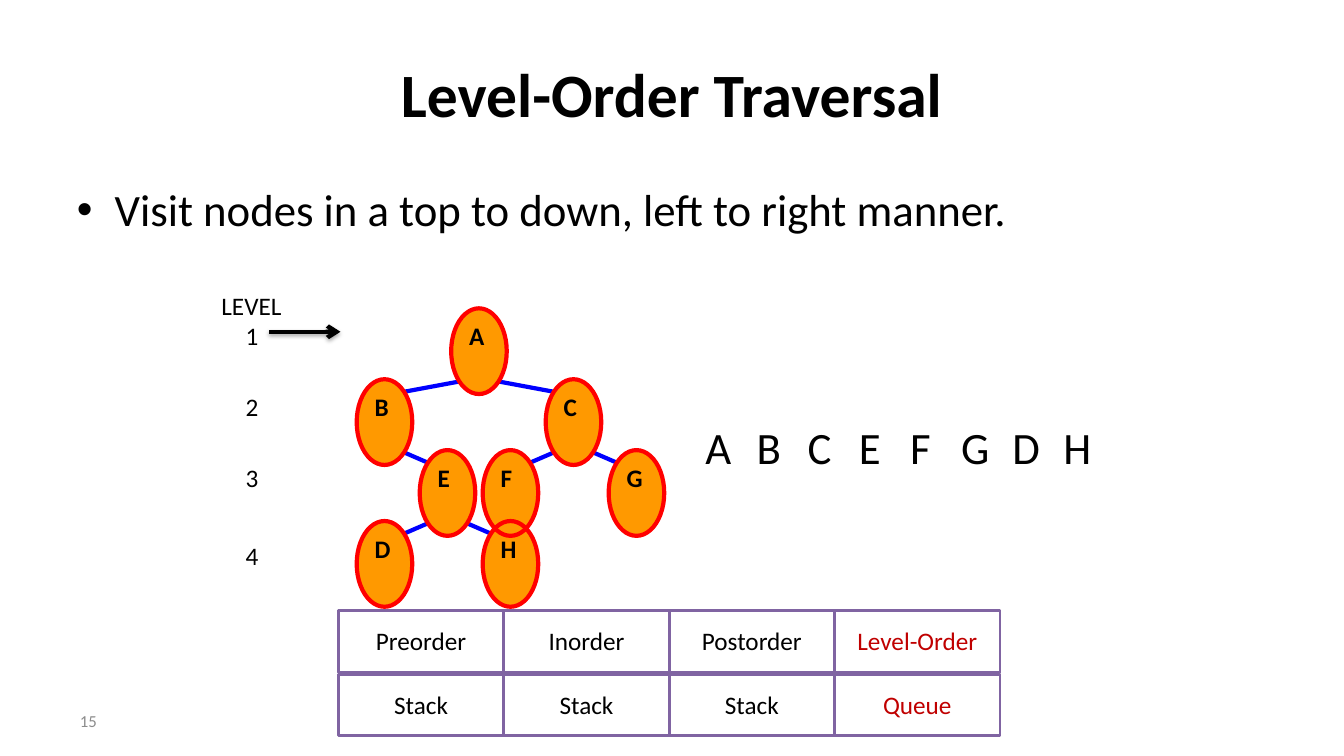
import pptx
import pptx.util
import pptx.dml.color
import pptx.enum.shapes
import pptx.enum.text
import pptx.oxml
import pptx.oxml.ns

Cm = pptx.util.Cm
Pt = pptx.util.Pt
RGBColor = pptx.dml.color.RGBColor
Kind = pptx.enum.shapes.MSO_SHAPE
Align = pptx.enum.text.PP_ALIGN
Anchor = pptx.enum.text.MSO_ANCHOR

BLACK = RGBColor(0x00, 0x00, 0x00)
WHITE = RGBColor(0xFF, 0xFF, 0xFF)
ORANGE = RGBColor(0xFF, 0x99, 0x00)
RED = RGBColor(0xFF, 0x00, 0x00)
BLUE = RGBColor(0x00, 0x00, 0xFF)
PURPLE = RGBColor(0x80, 0x64, 0xA2)
CRIMSON = RGBColor(0xC0, 0x00, 0x00)
GREY = RGBColor(0x8C, 0x8C, 0x8C)

FONT = "Calibri"
NS = pptx.oxml.ns.nsdecls("a")
SHADOW = (f'<a:effectLst {NS}><a:outerShdw blurRad="39370" dist="22860" dir="5400000">'
          '<a:srgbClr val="000000"><a:alpha val="35000"/></a:srgbClr>'
          '</a:outerShdw></a:effectLst>')
EDGE = (0.5 - 0.125 ** 0.5, 0.5 + 0.125 ** 0.5)  # diagonal points of an oval

NODES = {  # letter: (column, row)
    "A": (3, 0), "B": (0, 1), "C": (6, 1), "E": (2, 2),
    "F": (4, 2), "G": (8, 2), "D": (0, 3), "H": (4, 3),
}
LINKS = ("BA", "CA", "EB", "FC", "GC", "DE", "HE")
ORDER = "ABCEFGDH"
GRID = (("Preorder", "Inorder", "Postorder", "Level-Order"),
        ("Stack", "Stack", "Stack", "Queue"))


def write(shape, text, size, color=BLACK, bold=False, align=Align.LEFT,
          anchor=Anchor.TOP, pad=0.13, wrap=True):
    frame = shape.text_frame
    frame.text = text
    frame.word_wrap = wrap
    frame.vertical_anchor = anchor
    frame.margin_left = frame.margin_right = Cm(0.25)
    frame.margin_top = frame.margin_bottom = Cm(pad)
    para = frame.paragraphs[0]
    para.alignment = align
    font = para.runs[0].font
    font.name, font.size, font.bold = FONT, Pt(size), bold
    font.color.rgb = color
    return para


def label(shapes, box, text, size, **style):
    return write(shapes.add_textbox(*map(Cm, box)), text, size, **style)


def block(shapes, kind, box, fill=None, line=None, width=3):
    shape = shapes.add_shape(kind, *map(Cm, box))
    shape.shadow.inherit = False
    if fill is None:
        shape.fill.background()
    else:
        shape.fill.solid()
        shape.fill.fore_color.rgb = fill
    if line is None:
        shape.line.fill.background()
    else:
        shape.line.color.rgb = line
        shape.line.width = Pt(width)
    return shape


def stroke(shapes, start, end, color, effect=f"<a:effectLst {NS}/>"):
    line = shapes.add_connector(pptx.enum.shapes.MSO_CONNECTOR.STRAIGHT,
                                *map(Cm, start + end))
    line.line.color.rgb = color
    line.line.width = Pt(3)
    line._element.spPr.append(pptx.oxml.parse_xml(effect))
    return line


def title(shapes, box):
    label(shapes, box, "Level-Order Traversal", 44, bold=True,
          align=Align.CENTER, anchor=Anchor.MIDDLE)


def body(shapes, box):
    para = label(shapes, box,
                 "Visit nodes in a top to down, left to right manner.", 32)
    props = para._p.get_or_add_pPr()
    props.set("marL", str(Cm(0.95)))
    props.set("indent", str(-Cm(0.95)))
    for xml in (f'<a:buFont {NS} typeface="Arial"/>', f'<a:buChar {NS} char="•"/>'):
        props.append(pptx.oxml.parse_xml(xml))


def tree(shapes, box):
    left, top, width, height = box
    wide, high = 1.4, 2.16
    across, down = (width - wide) / 8, (height - high) / 3
    spots = {name: (left + col * across, top + row * down)
             for name, (col, row) in NODES.items()}
    for x, y in spots.values():
        block(shapes, Kind.OVAL, (x, y, wide, high), fill=ORANGE)
    for child, parent in LINKS:
        (cx, cy), (px, py) = spots[child], spots[parent]
        near, far = EDGE if cx > px else EDGE[::-1]
        stroke(shapes, (cx + near * wide, cy + EDGE[0] * high),
               (px + far * wide, py + EDGE[1] * high), BLUE)
    for name, (x, y) in spots.items():
        group = shapes.add_group_shape().shapes
        block(group, Kind.OVAL, (x, y, wide, high), line=RED)
        label(group, (x + 0.2, y - 0.08, 1, 1.55), name, 18, bold=True, pad=0.38)


def levels(shapes, box):
    left, top, width, height = box
    arrow = stroke(shapes, (left + 1.45, top + 1.17),
                   (left + width, top + 1.17), BLACK, SHADOW)
    arrow.line._get_or_add_ln().append(
        pptx.oxml.parse_xml(f'<a:tailEnd {NS} type="arrow"/>'))
    label(shapes, (left, top, 2.06, 1.02), "LEVEL", 18, wrap=False)
    for level, drop in enumerate((0.74, 2.54, 4.34, height - 1.02), 1):
        label(shapes, (left + 0.61, top + drop, 0.84, 1.02), str(level), 18,
              wrap=False)


def visits(shapes, box):
    left, top, width, height = box
    wide = 1.57
    step = (width - wide) / (len(ORDER) - 1)
    for i, name in enumerate(ORDER):
        label(shapes, (left + i * step, top, wide, height), name, 32, pad=0.38)


def grid(shapes, box):
    left, top, width, height = box
    wide, high, gap = width / 4, 1.55, 0.05
    for row, names in enumerate(GRID):
        for col, name in enumerate(names):
            cell = block(shapes, Kind.RECTANGLE,
                         (left + col * wide, top + row * (high + gap), wide, high),
                         WHITE, PURPLE, 2)
            write(cell, name, 18, CRIMSON if col == 3 else BLACK,
                  align=Align.CENTER, pad=0.38)


def number(shapes, box):
    label(shapes, box, "15", 12, color=GREY, align=Align.RIGHT,
          anchor=Anchor.MIDDLE)


def main():
    deck = pptx.Presentation()
    deck.slide_width, deck.slide_height = Cm(33.87), Cm(19.05)
    shapes = deck.slides.add_slide(deck.slide_layouts[6]).shapes
    title(shapes, (1.69, 0.76, 30.48, 3.18))
    body(shapes, (1.69, 4.45, 30.48, 12.57))
    tree(shapes, (8.99, 7.77, 7.75, 7.52))
    visits(shapes, (17.53, 10.19, 10.59, 2.13))
    levels(shapes, (5.33, 7.19, 3.25, 7.32))
    grid(shapes, (8.53, 15.39, 16.67, 3.15))
    number(shapes, (0.7, 17.65, 1.99, 1.02))
    deck.save("out.pptx")


if __name__ == "__main__":
    main()
